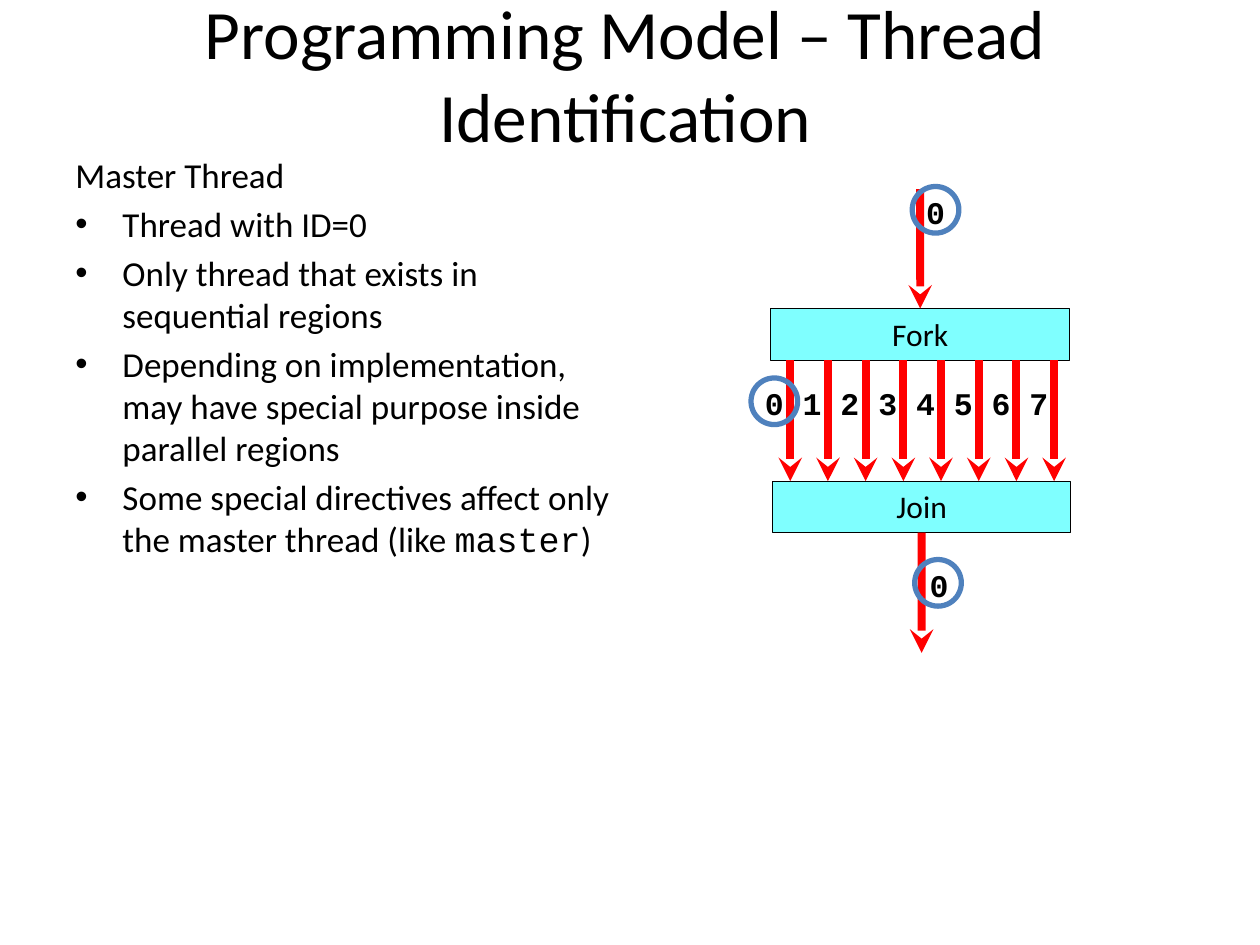
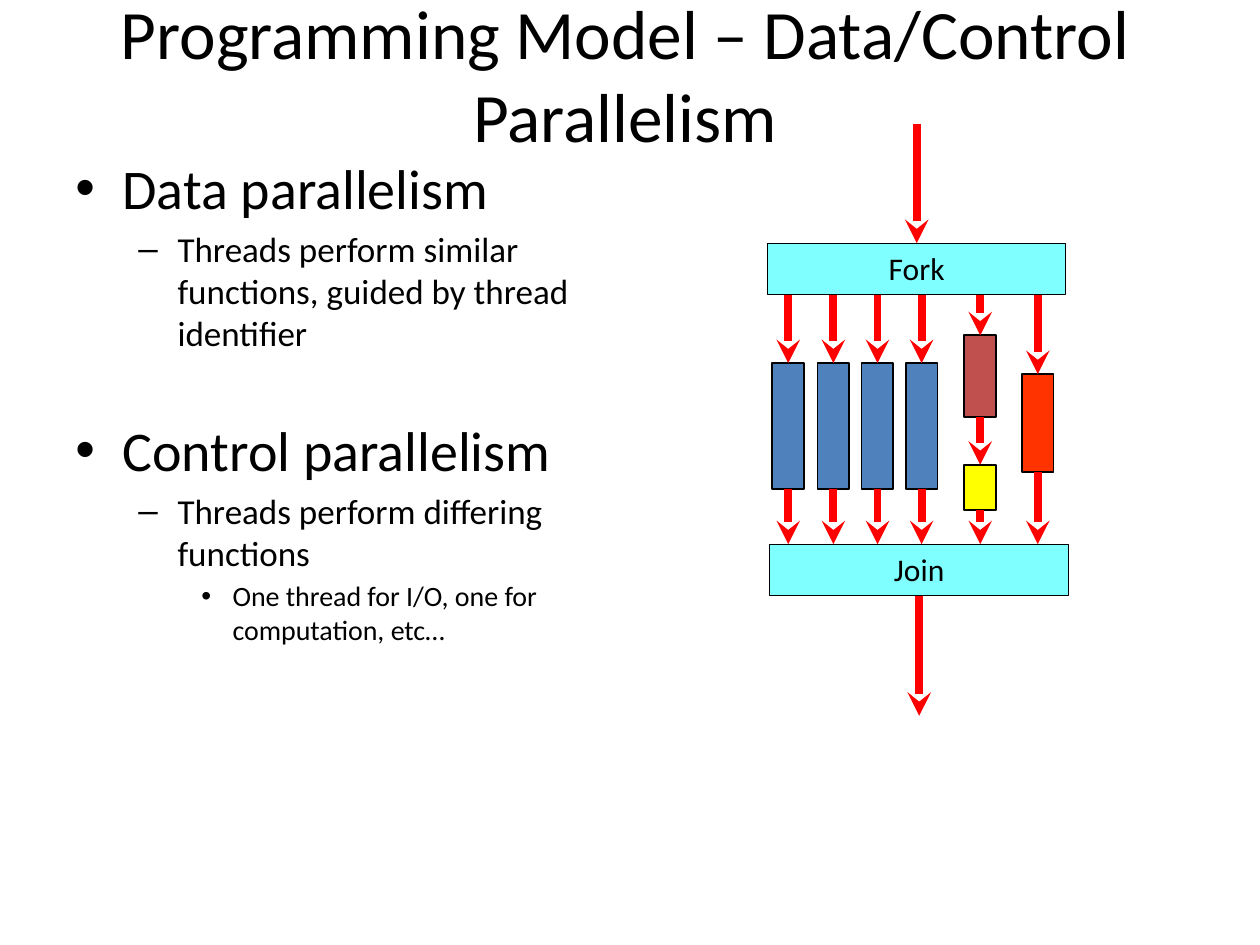
from lxml import etree
from pptx import Presentation
from pptx.dml.color import RGBColor
from pptx.enum.shapes import MSO_CONNECTOR, MSO_SHAPE
from pptx.enum.text import MSO_ANCHOR, PP_ALIGN
from pptx.oxml.ns import qn
from pptx.util import Cm, Pt

STRAIGHT = MSO_CONNECTOR.STRAIGHT
RECT, OVAL = MSO_SHAPE.RECTANGLE, MSO_SHAPE.OVAL
TOP, MIDDLE = MSO_ANCHOR.TOP, MSO_ANCHOR.MIDDLE
LEFT, CENTER = PP_ALIGN.LEFT, PP_ALIGN.CENTER
TOP_SIDE, BOTTOM_SIDE = 0, 2

BLACK = RGBColor(0x00, 0x00, 0x00)
CYAN = RGBColor(0x00, 0xFF, 0xFF)
RED = RGBColor(0xFF, 0x00, 0x00)
BLUE = RGBColor(0x4F, 0x81, 0xBD)
BRICK = RGBColor(0xC0, 0x50, 0x4D)
YELLOW = RGBColor(0xFF, 0xFF, 0x00)
ORANGE = RGBColor(0xFF, 0x33, 0x00)
BODY_FONT, CODE_FONT = "Calibri", "Courier New"

# Lengths below are centimetres, text sizes are points.
TITLE_BOX = (0.64, 0.2, 23.93, 2.54)
BODY_BOX = (1.27, 2.97, 11.33, 13.77)
BAR_W, BAR_H = 6.02, 1.04
TASK_W = 0.64
CIRCLE = 0.94
LABEL_H = 1.02

# level: (left margin, hanging indent, bullet)
LEVELS = {
    "plain": (0.95, 0.95, None),
    "main": (0.95, 0.95, "•"),
    "sub": (2.06, 0.79, "–"),
    "detail": (3.17, 0.63, "•"),
}

# paragraph: (level, size, space before, runs of text and font)
IDENTIFICATION = {
    "title": "Programming Model – Thread Identification",
    "body": [
        ("plain", 20, 4, [("Master Thread", BODY_FONT)]),
        ("main", 20, 4, [("Thread with ID=0", BODY_FONT)]),
        ("main", 20, 4, [("Only thread that exists in sequential regions", BODY_FONT)]),
        ("main", 20, 4, [("Depending on implementation, may have special purpose "
                          "inside parallel regions", BODY_FONT)]),
        ("main", 20, 4, [("Some special directives affect only the master thread (like ",
                          BODY_FONT), ("master", CODE_FONT), (")", BODY_FONT)]),
    ],
    "fork": (15.54, 6.22), "join": (15.57, 9.7),
    "start": 3.81, "end": 13.16,
}
PARALLELISM = {
    "title": "Programming Model – Data/Control Parallelism",
    "body": [
        ("main", 32, 6.4, [("Data parallelism", BODY_FONT)]),
        ("sub", 20, 4, [("Threads perform similar functions, guided by thread identifier",
                         BODY_FONT)]),
        ("main", 32, 35, [("Control parallelism", BODY_FONT)]),
        ("sub", 20, 4, [("Threads perform differing functions", BODY_FONT)]),
        ("detail", 16, 3.2, [("One thread for I/O, one for computation, etc…", BODY_FONT)]),
    ],
    "fork": (15.47, 4.9), "join": (15.52, 10.97),
    "start": 2.49, "end": 14.43,
}

THREAD_COUNT, THREAD_X, THREAD_STEP = 8, 15.93, 0.76
# thread labels: (text, left, top, width, left inset)
THREAD_LABELS = [
    ("0", 18.42, 3.76, 1.3, 0.25),
    (" ".join(str(n) for n in range(THREAD_COUNT)), 14.78, 7.62, 7.8, 0.64),
    ("0", 18.49, 11.28, 1.3, 0.25),
]
MASTER_CIRCLES = [(18.44, 11.28), (15.14, 7.62), (18.39, 3.76)]

# lane: (centre x, tasks from top to bottom as (top, height, colour))
DATA_TASK = (7.32, 2.54, BLUE)
LANES = [(x, [DATA_TASK]) for x in (15.89, 16.8, 17.69, 18.58)] + [
    (19.76, [(6.76, 1.65, BRICK), (9.37, 0.91, YELLOW)]),
    (20.92, [(7.54, 1.98, ORANGE)]),
]


def add_run(p, text, size, font=BODY_FONT, bold=False):
    r = p.add_run()
    r.text = text
    r.font.size, r.font.name, r.font.bold = Pt(size), font, bold
    r.font.color.rgb = BLACK


def add_text_box(slide, box, anchor=TOP):
    tf = slide.shapes.add_textbox(*(Cm(v) for v in box)).text_frame
    tf.word_wrap = True
    tf.vertical_anchor = anchor
    return tf


def add_body(slide, paragraphs):
    tf = add_text_box(slide, BODY_BOX)
    for i, (level, size, before, runs) in enumerate(paragraphs):
        p = tf.add_paragraph() if i else tf.paragraphs[0]
        p.space_before = Pt(before)
        margin, hanging, bullet = LEVELS[level]
        pPr = p._p.get_or_add_pPr()
        pPr.set("marL", str(Cm(margin)))
        pPr.set("indent", str(-Cm(hanging)))
        if bullet:
            etree.SubElement(pPr, qn("a:buFont")).set("typeface", "Arial")
            etree.SubElement(pPr, qn("a:buChar")).set("char", bullet)
        for text, font in runs:
            add_run(p, text, size, font)


def add_shape(slide, kind, box, fill, line, width):
    sp = slide.shapes.add_shape(kind, *(Cm(v) for v in box))
    sp.shadow.inherit = False
    if fill is None:
        sp.fill.background()
    else:
        sp.fill.solid()
        sp.fill.fore_color.rgb = fill
    sp.line.color.rgb = line
    sp.line.width = Pt(width)
    return sp


def add_bar(slide, text, left, top):
    """Half-transparent bar where threads fork or join."""
    sp = add_shape(slide, RECT, (left, top, BAR_W, BAR_H), CYAN, BLACK, 0.5)
    color = sp.fill._xPr.find(".//" + qn("a:srgbClr"))
    etree.SubElement(color, qn("a:alpha")).set("val", "50000")
    tf = sp.text_frame
    tf.vertical_anchor = TOP
    p = tf.paragraphs[0]
    p.alignment = CENTER
    add_run(p, text, 18)
    return sp


def add_arrow(slide, x, top, bottom, source=None, target=None):
    """Downward arrow, joined to the shapes it leaves and enters."""
    line = slide.shapes.add_connector(STRAIGHT, Cm(x), Cm(top), Cm(x), Cm(bottom))
    line.line.color.rgb = RED
    line.line.width = Pt(4.5)
    etree.SubElement(line.line._get_or_add_ln(), qn("a:tailEnd")).set("type", "stealth")
    etree.SubElement(line._element.spPr, qn("a:effectLst"))
    if source is not None:
        line.begin_connect(source, BOTTOM_SIDE)
    if target is not None:
        line.end_connect(target, TOP_SIDE)


def add_base(prs, content):
    """Slide with title, body text, fork and join bars and the master thread."""
    slide = prs.slides.add_slide(prs.slide_layouts[6])
    p = add_text_box(slide, TITLE_BOX, MIDDLE).paragraphs[0]
    p.alignment = CENTER
    add_run(p, content["title"], 39.6)
    add_body(slide, content["body"])
    (fork_x, fork_y), (join_x, join_y) = content["fork"], content["join"]
    fork = add_bar(slide, "Fork", fork_x, fork_y)
    join = add_bar(slide, "Join", join_x, join_y)
    add_arrow(slide, fork_x + BAR_W / 2, content["start"], fork_y, target=fork)
    add_arrow(slide, join_x + BAR_W / 2, join_y + BAR_H, content["end"], source=join)
    return slide, fork_y + BAR_H, join_y


def build_identification(prs):
    slide, fork_bottom, join_top = add_base(prs, IDENTIFICATION)
    for i in range(THREAD_COUNT):
        add_arrow(slide, THREAD_X + i * THREAD_STEP, fork_bottom, join_top)
    for text, left, top, width, inset in THREAD_LABELS:
        tf = add_text_box(slide, (left, top, width, LABEL_H))
        tf.margin_left = Cm(inset)
        p = tf.paragraphs[0]
        p.alignment = LEFT
        add_run(p, text, 18, CODE_FONT, bold=True)
    for left, top in MASTER_CIRCLES:
        add_shape(slide, OVAL, (left, top, CIRCLE, CIRCLE), None, BLUE, 3)


def build_parallelism(prs):
    slide, fork_bottom, join_top = add_base(prs, PARALLELISM)
    for x, tasks in LANES:
        previous, y = None, fork_bottom
        for top, height, color in tasks:
            box = (x - TASK_W / 2, top, TASK_W, height)
            task = add_shape(slide, RECT, box, color, BLACK, 1)
            add_arrow(slide, x, y, top, previous, task)
            previous, y = task, top + height
        add_arrow(slide, x, y, join_top, source=previous)


def main():
    prs = Presentation()
    prs.slide_width, prs.slide_height = Cm(25.4), Cm(19.05)
    build_identification(prs)
    build_parallelism(prs)
    prs.save("out.pptx")


if __name__ == "__main__":
    main()
